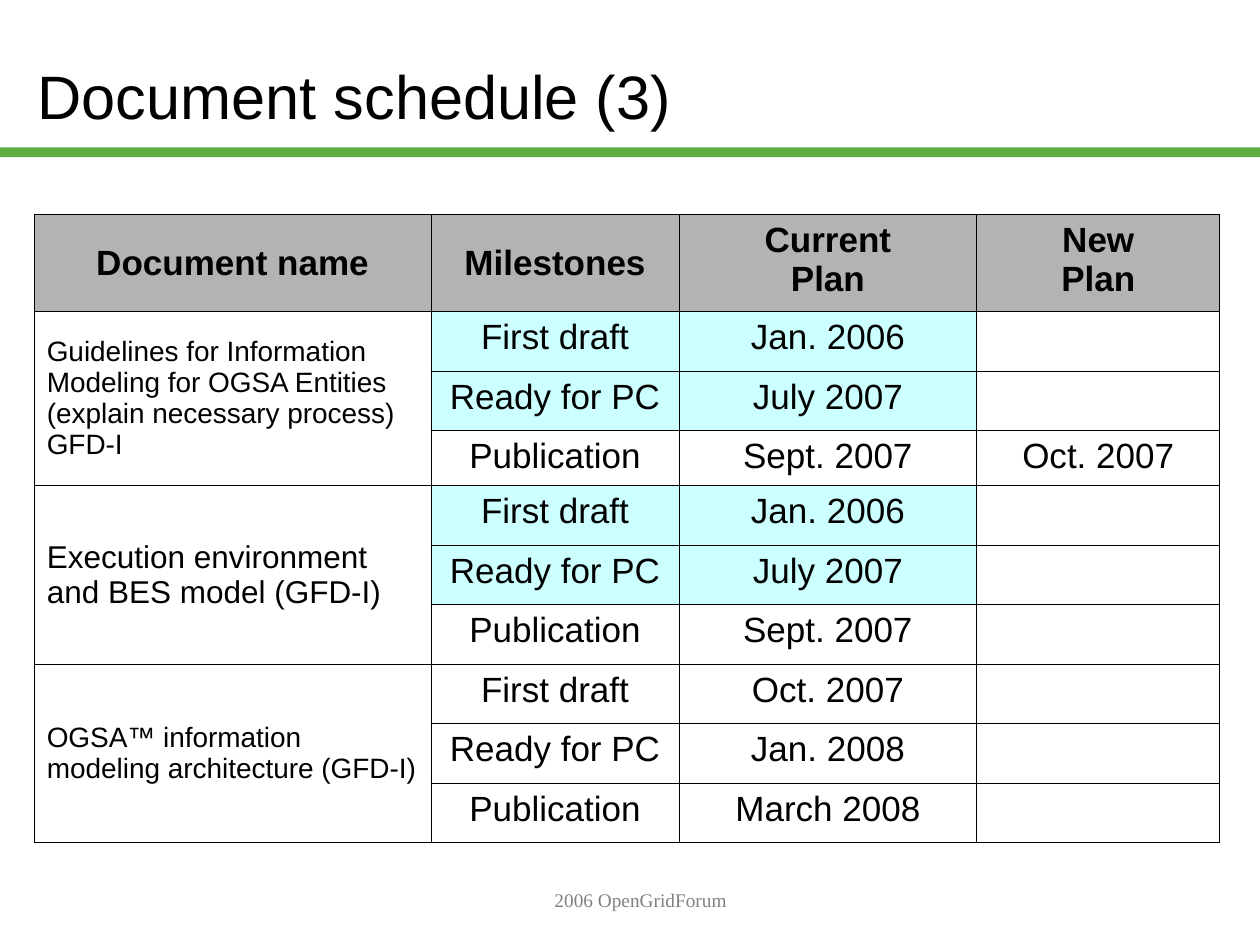
from pptx import Presentation
from pptx.dml.color import RGBColor
from pptx.enum.shapes import MSO_SHAPE
from pptx.enum.text import MSO_ANCHOR, PP_ALIGN
from pptx.oxml import parse_xml
from pptx.oxml.ns import nsdecls
from pptx.util import Cm, Pt

BLACK, WHITE, GREEN = "000000", "FFFFFF", "5DAD41"
HEADER_GRAY, DONE_BLUE, FOOTER_GRAY = "B2B3B5", "CCFFFF", "808080"

COLUMN_WIDTHS = [8, 5, 6, 4.9]
HEADER_HEIGHT, ROW_HEIGHT, SHORT_ROW_HEIGHT = 1.96, 1.2, 1.11
SHORT_ROW = 3
HEADERS = [["Document name"], ["Milestones"], ["Current", "Plan"], ["New", "Plan"]]
MILESTONES = ["First draft", "Ready for PC", "Publication"]
# Name lines, name size, current plan, new plan, milestones already reached
DOCUMENTS = [
    (["Guidelines for Information Modeling for OGSA Entities",
      "(explain necessary process)", "GFD-I"], 16,
     ["Jan. 2006", "July 2007", "Sept. 2007"], ["", "", "Oct. 2007"], 2),
    (["Execution environment", "and BES model (GFD-I)"], 18,
     ["Jan. 2006", "July 2007", "Sept. 2007"], ["", "", ""], 2),
    (["OGSA™ information", "modeling architecture (GFD-I)"], 16,
     ["Oct. 2007", "Jan. 2008", "March 2008"], ["", "", ""], 0),
]


def color(value):
    return RGBColor.from_string(value)


def write(frame, lines, size, align=PP_ALIGN.CENTER, bold=False,
          font="Arial", ink=BLACK):
    """Put each line in its own paragraph."""
    frame.word_wrap = True
    for index, line in enumerate(lines):
        para = frame.add_paragraph() if index else frame.paragraphs[0]
        para.alignment = align
        if not line:
            continue
        span = para.add_run()
        span.text = line
        span.font.size = Pt(size)
        span.font.bold = bold
        span.font.name = font
        span.font.color.rgb = color(ink)


def add_bar(page, left, top, width, height, fill, line=None):
    bar = page.shapes.add_shape(MSO_SHAPE.RECTANGLE, Cm(left), Cm(top),
                                Cm(width), Cm(height))
    bar.shadow.inherit = False
    bar.fill.solid()
    bar.fill.fore_color.rgb = color(fill)
    if line:
        bar.line.color.rgb = color(line)
        bar.line.width = Pt(0.75)
    else:
        bar.line.fill.background()


def add_text(page, left, top, width, height, text, size,
             anchor=MSO_ANCHOR.TOP, **style):
    box = page.shapes.add_textbox(Cm(left), Cm(top), Cm(width), Cm(height))
    write(box.text_frame, [text], size, **style)
    box.text_frame.vertical_anchor = anchor


def style_cell(cell, fill):
    """Draw thin black borders, then fill the cell."""
    properties = cell._tc.get_or_add_tcPr()
    for side in ("lnL", "lnR", "lnT", "lnB"):
        properties.append(parse_xml(
            f'<a:{side} {nsdecls("a")} w="{Pt(0.45)}"><a:solidFill>'
            f'<a:srgbClr val="{BLACK}"/></a:solidFill></a:{side}>'))
    cell.fill.solid()
    cell.fill.fore_color.rgb = color(fill)


def fill_header(table):
    for column, lines in enumerate(HEADERS):
        cell = table.cell(0, column)
        style_cell(cell, HEADER_GRAY)
        write(cell.text_frame, lines, 20, bold=True)
        if len(lines) == 1:
            cell.vertical_anchor = MSO_ANCHOR.MIDDLE


def fill_document(table, first_row, name, name_size, current, new, reached):
    for step, values in enumerate(zip(MILESTONES, current, new)):
        row = first_row + step
        style_cell(table.cell(row, 0), WHITE)
        for column, value in enumerate(values, start=1):
            cell = table.cell(row, column)
            done = step < reached and column < 3
            style_cell(cell, DONE_BLUE if done else WHITE)
            write(cell.text_frame, [value], 20)
    name_cell = table.cell(first_row, 0)
    name_cell.merge(table.cell(first_row + len(MILESTONES) - 1, 0))
    name_cell.vertical_anchor = MSO_ANCHOR.MIDDLE
    write(name_cell.text_frame, name, name_size, align=PP_ALIGN.LEFT)


def add_schedule(page):
    heights = [HEADER_HEIGHT] + [ROW_HEIGHT] * (len(DOCUMENTS) * len(MILESTONES))
    heights[SHORT_ROW] = SHORT_ROW_HEIGHT
    table = page.shapes.add_table(
        len(heights), len(COLUMN_WIDTHS), Cm(0.69), Cm(4.32),
        Cm(sum(COLUMN_WIDTHS)), Cm(sum(heights))).table
    table.first_row = table.horz_banding = False
    for column, width in zip(table.columns, COLUMN_WIDTHS):
        column.width = Cm(width)
    for row, height in zip(table.rows, heights):
        row.height = Cm(height)
    fill_header(table)
    for index, document in enumerate(DOCUMENTS):
        fill_document(table, 1 + index * len(MILESTONES), *document)


def main():
    deck = Presentation()
    deck.slide_width, deck.slide_height = Cm(25.4), Cm(19.05)
    page = deck.slides.add_slide(deck.slide_layouts[6])
    add_bar(page, 0, 2.97, 25.4, 0.2, GREEN)
    add_bar(page, 0, 17.32, 25.4, 1.73, WHITE, line=WHITE)
    add_text(page, 0.51, 0.33, 21.59, 3.18, "Document schedule (3)", 35,
             anchor=MSO_ANCHOR.MIDDLE, align=PP_ALIGN.LEFT)
    add_schedule(page)
    add_text(page, 5.51, 17.78, 14.81, 1.27, "2006 OpenGridForum", 11,
             font="Times New Roman", ink=FOOTER_GRAY)
    deck.save("out.pptx")


if __name__ == "__main__":
    main()
